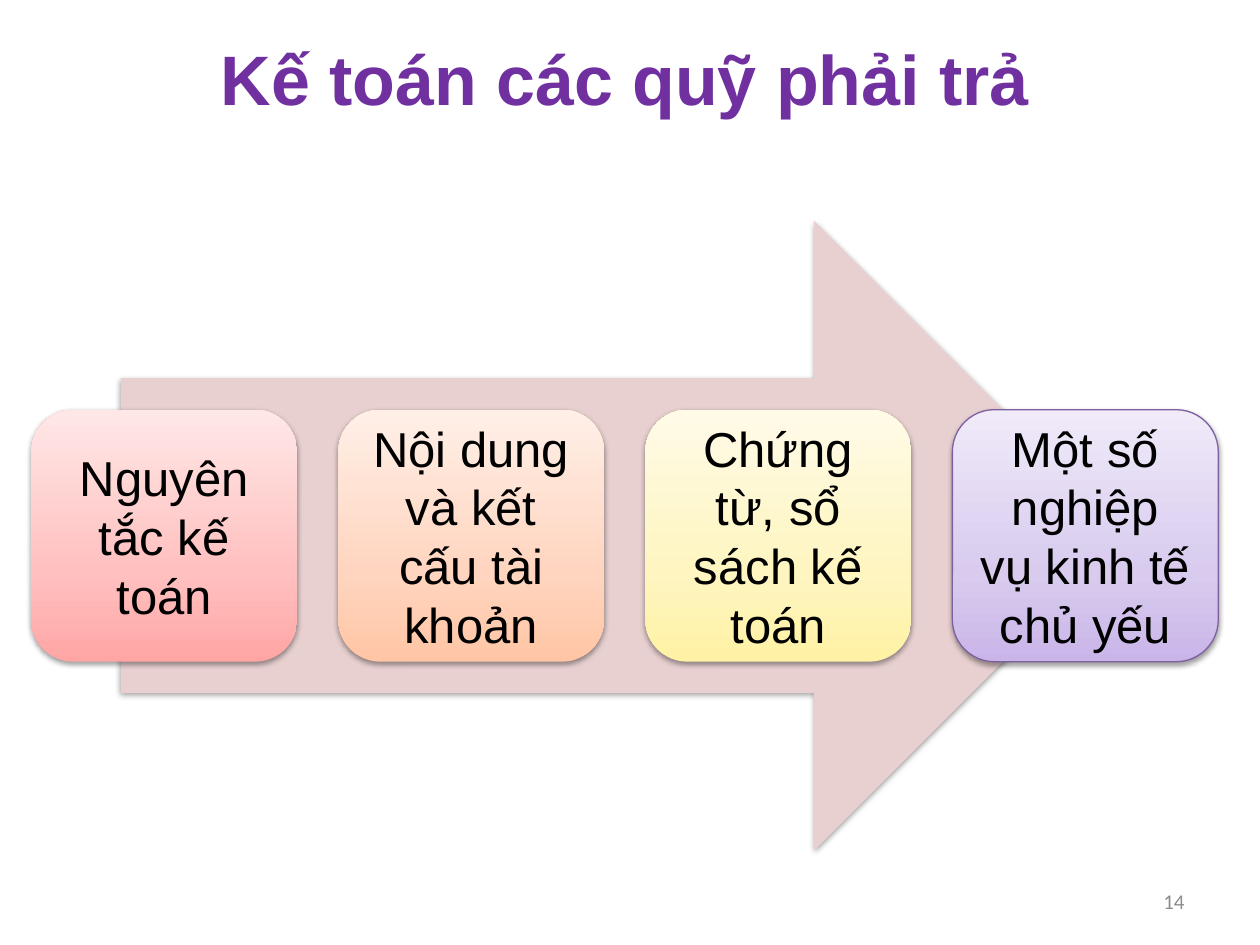
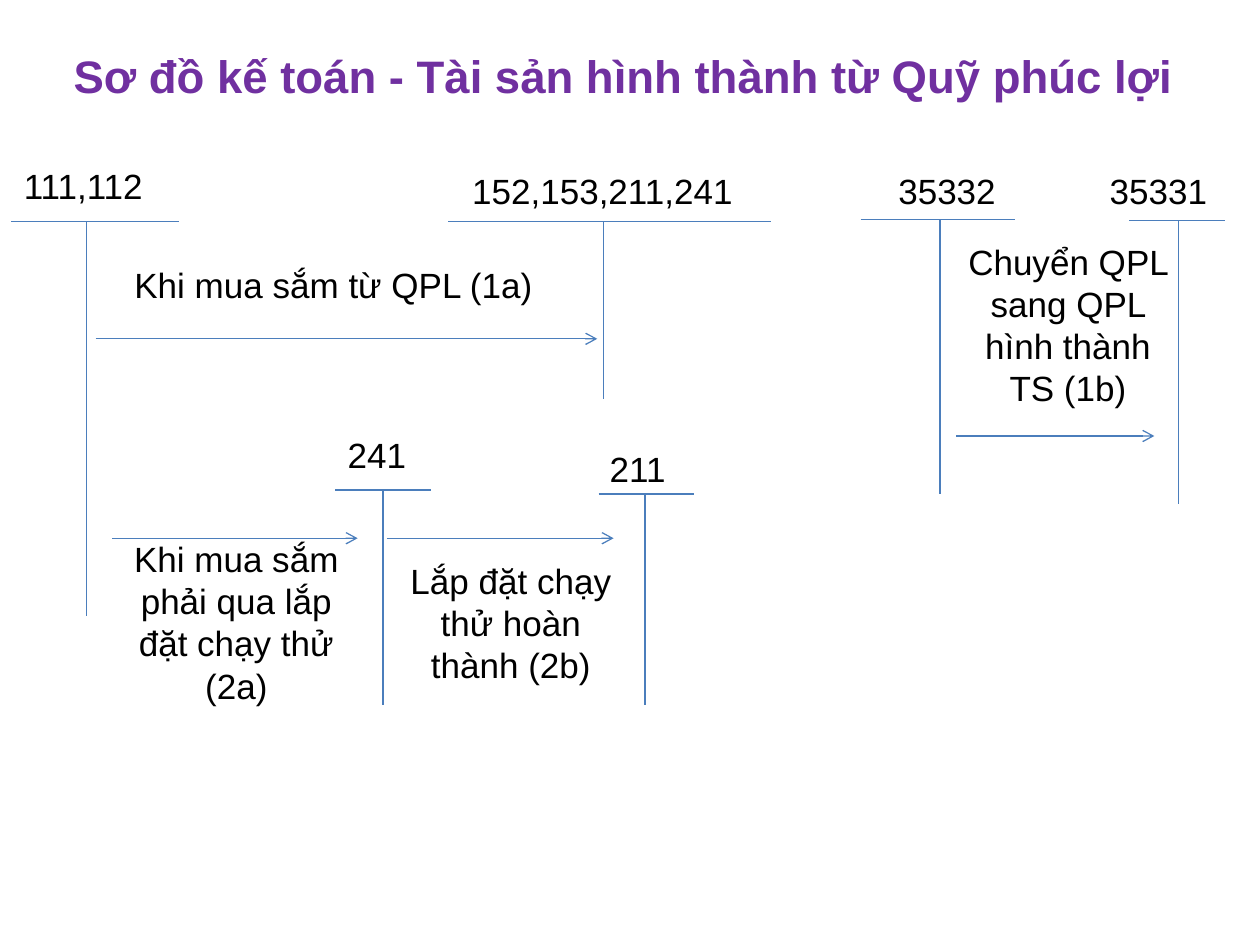
from copy import deepcopy
from dataclasses import dataclass

from lxml.etree import SubElement
from pptx import Presentation
from pptx.dml.color import RGBColor
from pptx.enum.shapes import MSO_AUTO_SHAPE_TYPE as Kind, MSO_CONNECTOR as Link
from pptx.enum.text import MSO_ANCHOR as Anchor, MSO_AUTO_SIZE as Fit, PP_ALIGN as Align
from pptx.oxml.ns import qn
from pptx.util import Cm, Pt

PURPLE, BLUE, BLACK, GREY, ROSE = "7030A0", "4B7EBC", "000000", "8C8C8C", "E8D0D0"
CARD_LEFT, CARD_TOP, CARD_STEP = 0.63, 8.26, 6.19
CARD_WIDTH, CARD_HEIGHT = 5.36, 5.08


@dataclass
class Box:
    left: float
    top: float
    width: float
    height: float

    def lengths(self) -> tuple:
        return Cm(self.left), Cm(self.top), Cm(self.width), Cm(self.height)


@dataclass
class Card:
    text: str
    stops: tuple
    edge: str = ""


@dataclass
class Account:
    code: str
    label: Box
    left: float
    right: float
    top: float
    stem: float
    foot: float


@dataclass
class Flow:
    text: str
    label: Box
    start: float
    end: float
    level: float
    align: Align = Align.CENTER


CARDS = [
    Card("Nguyên tắc kế toán", ("FFA6A5", "FFC0BF", "FFE7E7")),
    Card("Nội dung và kết cấu tài khoản", ("FFC5A5", "FFD5BF", "FFEFE7")),
    Card("Chứng từ, sổ sách kế toán", ("FFF2A5", "FEF5C0", "FFFBE7")),
    Card("Một số nghiệp vụ kinh tế chủ yếu", ("C9B5E8", "D8CBEE", "F0EAF9"), "7D60A0"),
]

ACCOUNTS = [
    Account("111,112", Box(0.23, 3.2, 2.92, 1.12), 0.23, 3.61, 4.47, 1.75, 12.42),
    Account("152,153,211,241", Box(9.27, 3.3, 5.79, 1.12), 9.04, 15.54, 4.47, 12.17, 8.05),
    Account("35332", Box(17.86, 3.3, 2.49, 1.12), 17.35, 20.47, 4.42, 18.95, 9.96),
    Account("35331", Box(22.12, 3.3, 2.49, 1.12), 22.76, 24.69, 4.44, 23.75, 10.16),
    Account("241", Box(6.76, 8.61, 1.7, 1.12), 6.76, 8.69, 9.88, 7.72, 14.22),
    Account("211", Box(12.04, 8.89, 1.65, 1.12), 12.07, 14, 9.96, 13, 14.22),
]

FLOWS = [
    Flow("Khi mua sắm từ QPL (1a)", Box(2.46, 5.18, 9.04, 1.12), 1.93, 12.04, 6.83, Align.JUSTIFY),
    Flow("Chuyển QPL sang QPL hình thành TS (1b)", Box(19.08, 4.72, 4.9, 3.68), 19.28, 23.27, 8.79),
    Flow("Khi mua sắm phải qua lắp đặt chạy thử (2a)", Box(2.29, 10.72, 4.95, 3.68), 2.26, 7.21, 10.85),
    Flow("Lắp đặt chạy thử hoàn thành (2b)", Box(7.8, 11.15, 5, 2.82), 7.8, 12.37, 10.85),
]


def paint(code: str) -> RGBColor:
    return RGBColor.from_string(code)


def write(frame, text: str, size: int, align: Align, color: str = BLACK,
          face: str = "Arial", bold: bool = False) -> None:
    frame.text = text
    para = frame.paragraphs[0]
    para.alignment = align
    for run in para.runs:
        run.font.size, run.font.name, run.font.bold = Pt(size), face, bold
        run.font.color.rgb = paint(color)


def label(slide, box: Box, text: str, size: int, align: Align, wrap: bool = True,
          color: str = BLACK, face: str = "Arial"):
    frame = slide.shapes.add_textbox(*box.lengths()).text_frame
    frame.word_wrap = wrap
    write(frame, text, size, align, color, face)
    return frame


def titled(deck, text: str, box: Box, size: int):
    slide = deck.slides.add_slide(deck.slide_layouts[5])
    title = slide.shapes.title
    title.left, title.top, title.width, title.height = box.lengths()
    frame = title.text_frame
    frame.auto_size, frame.word_wrap = Fit.NONE, True
    frame.vertical_anchor = Anchor.BOTTOM
    write(frame, text, size, Align.CENTER, PURPLE, bold=True)
    return slide


def shade(shape) -> None:
    shape.shadow.inherit = False
    effects = shape._element.spPr.find(qn("a:effectLst"))
    outer = SubElement(effects, qn("a:outerShdw"), blurRad=str(Pt(3.1)),
                       dist=str(Pt(1.6)), dir="5400000", rotWithShape="0")
    color = SubElement(outer, qn("a:srgbClr"), val=BLACK)
    SubElement(color, qn("a:alpha"), val="38000")


def blend(shape, colors: tuple) -> None:
    shape.fill.gradient()
    shape.fill.gradient_angle = 90
    stops = shape._element.spPr.find(".//" + qn("a:gsLst"))
    while len(stops) < len(colors):
        stops.append(deepcopy(stops[0]))
    for stop, color, place in zip(shape.fill.gradient_stops, colors, (0, 0.35, 1)):
        stop.color.rgb = paint(color)
        stop.position = place


def draw_card(slide, card: Card, left: float) -> None:
    box = Box(left, CARD_TOP, CARD_WIDTH, CARD_HEIGHT)
    shape = slide.shapes.add_shape(Kind.ROUNDED_RECTANGLE, *box.lengths())
    blend(shape, card.stops)
    if card.edge:
        shape.line.color.rgb, shape.line.width = paint(card.edge), Pt(0.75)
    else:
        shape.line.fill.background()
    shade(shape)
    frame = shape.text_frame
    frame.word_wrap, frame.vertical_anchor = True, Anchor.MIDDLE
    frame.margin_left = frame.margin_right = Cm(0.3)
    frame.margin_top = frame.margin_bottom = Cm(0.3)
    write(frame, card.text, 28, Align.CENTER)


def rule(slide, start: tuple, end: tuple, arrow: bool = False) -> None:
    line = slide.shapes.add_connector(Link.STRAIGHT, *map(Cm, start + end))
    line.line.color.rgb, line.line.width = paint(BLUE), Pt(0.75)
    if arrow:
        SubElement(line.line._get_or_add_ln(), qn("a:tailEnd"), type="arrow")
    SubElement(line._element.spPr, qn("a:effectLst"))


def draw_account(slide, item: Account) -> None:
    label(slide, item.label, item.code, 20, Align.LEFT, wrap=False)
    rule(slide, (item.left, item.top), (item.right, item.top))
    rule(slide, (item.stem, item.top), (item.stem, item.foot))


def draw_flow(slide, flow: Flow) -> None:
    label(slide, flow.label, flow.text, 20, flow.align)
    rule(slide, (flow.start, flow.level), (flow.end, flow.level), arrow=True)


def build_steps(deck) -> None:
    slide = titled(deck, "Kế toán các quỹ phải trả", Box(1.9, 0.38, 21.39, 2.16), 40)
    arrow = slide.shapes.add_shape(Kind.RIGHT_ARROW, *Box(2.44, 4.45, 20.32, 12.7).lengths())
    arrow.fill.solid()
    arrow.fill.fore_color.rgb = paint(ROSE)
    arrow.line.fill.background()
    shade(arrow)
    for index, card in enumerate(CARDS):
        draw_card(slide, card, CARD_LEFT + index * CARD_STEP)
    number = label(slide, Box(18.21, 17.65, 5.92, 1.02), "14", 12, Align.RIGHT,
                   color=GREY, face="Calibri")
    number.vertical_anchor = Anchor.MIDDLE


def build_ledger(deck) -> None:
    slide = titled(deck, "Sơ đồ kế toán - Tài sản hình thành từ Quỹ phúc lợi",
                   Box(0.84, 0.69, 23.47, 1.5), 26)
    for item in ACCOUNTS:
        draw_account(slide, item)
    for flow in FLOWS:
        draw_flow(slide, flow)


def main() -> None:
    deck = Presentation()
    deck.slide_width, deck.slide_height = Cm(25.4), Cm(19.05)
    build_steps(deck)
    build_ledger(deck)
    deck.save("out.pptx")


if __name__ == "__main__":
    main()
